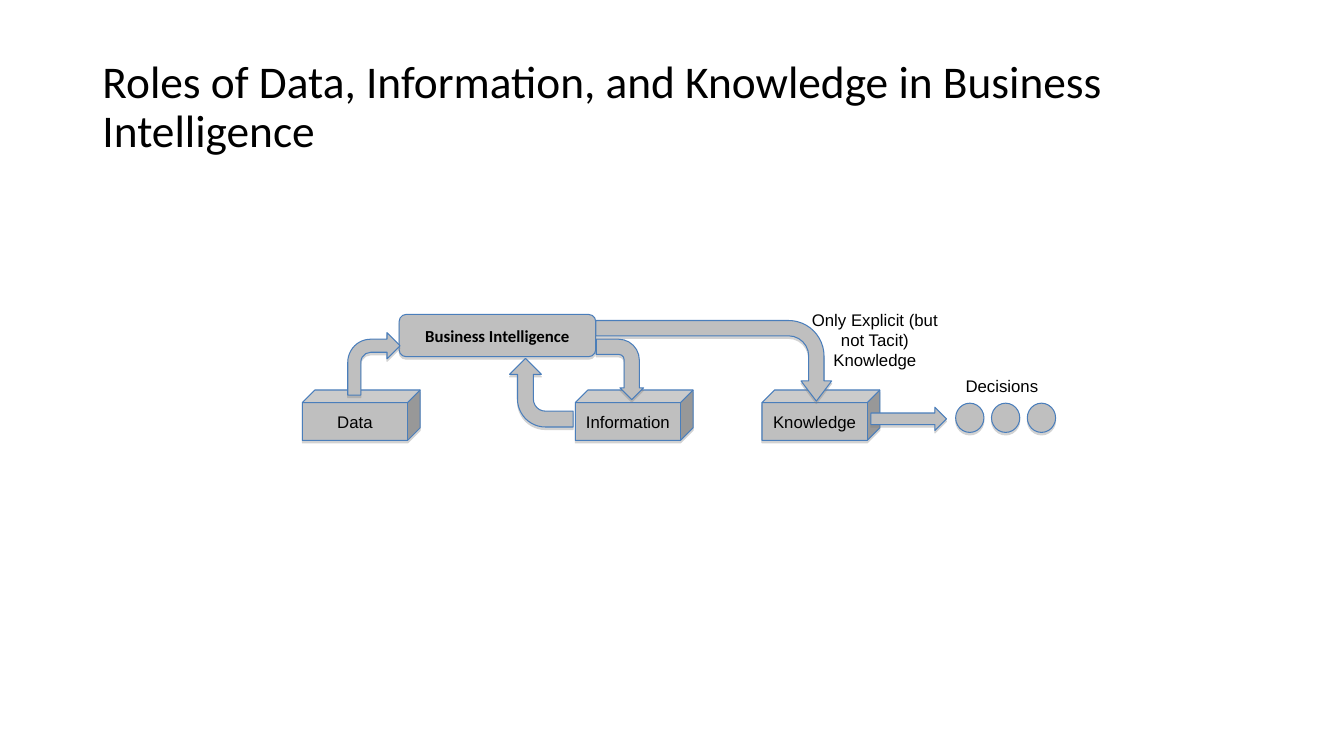
from lxml import etree
from pptx import Presentation
from pptx import util as u
from pptx.dml.color import RGBColor
from pptx.enum import shapes, text
from pptx.oxml import ns

Pt = u.Pt
KIND = shapes.MSO_SHAPE
GREY, BLUE, BLACK, SHADOW = "BFBFBF", "4A7EBB", "000000", "808080"


def colour(value):
    return RGBColor.from_string(value)


def add_shadow(shape):
    """Give the shape a hard shadow just below it."""
    shape.shadow.inherit = False
    effects = shape._element.spPr.find(ns.qn("a:effectLst"))
    shadow = etree.SubElement(effects, ns.qn("a:outerShdw"), blurRad="0",
                              dist=str(Pt(1.8)), dir="5400000", rotWithShape="0")
    tint = etree.SubElement(shadow, ns.qn("a:srgbClr"), val=SHADOW)
    etree.SubElement(tint, ns.qn("a:alpha"), val="35000")


def write(shape, words, size=12, font="Arial", bold=False, align=text.PP_ALIGN.CENTER):
    para = shape.text_frame.paragraphs[0]
    para.text = words
    para.alignment = align
    para.font.size, para.font.name, para.font.bold = Pt(size), font, bold
    para.font.color.rgb = colour(BLACK)
    return para


def add_block(page, kind, left, top, width, height, adjustments=(), turn=0):
    block = page.shapes.add_shape(kind, Pt(left), Pt(top), Pt(width), Pt(height))
    for index, value in enumerate(adjustments):
        block.adjustments[index] = value
    block.rotation = turn
    block.fill.solid()
    block.fill.fore_color.rgb = colour(GREY)
    block.line.color.rgb = colour(BLUE)
    block.line.width = Pt(0.75)
    add_shadow(block)
    return block


def add_labelled_block(page, kind, box, words, adjustments, **style):
    block = add_block(page, kind, *box, adjustments)
    frame = block.text_frame
    frame.margin_left = frame.margin_right = 0
    frame.vertical_anchor = text.MSO_ANCHOR.MIDDLE
    write(block, words, **style)


def add_label(page, left, top, width, height, words, wrap):
    label = page.shapes.add_textbox(Pt(left), Pt(top), Pt(width), Pt(height))
    label.text_frame.word_wrap = wrap
    write(label, words, align=text.PP_ALIGN.CENTER if wrap else text.PP_ALIGN.LEFT)


def add_title(page, left, top, width, height):
    title = page.shapes.title
    title.left, title.top, title.width, title.height = map(Pt, (left, top, width, height))
    frame = title.text_frame
    frame.auto_size = text.MSO_AUTO_SIZE.NONE
    frame.vertical_anchor = text.MSO_ANCHOR.MIDDLE
    frame.margin_bottom = Pt(11)
    para = write(title, "Roles of Data, Information, and Knowledge in Business Intelligence",
                 32.4, "Calibri", align=text.PP_ALIGN.LEFT)
    para.line_spacing = 0.9


def add_decisions(page, left, top):
    for index in range(3):
        add_block(page, KIND.OVAL, left + index * 25.6, top + 23, 20.2, 20.9)
    add_label(page, left, top, 67, 21.6, "Decisions", wrap=False)


def add_flow(page, left, top):
    for words, x in (("Knowledge", 328.3), ("Information", 195), ("Data", 0)):
        add_labelled_block(page, KIND.CUBE, (left + x, top + 61.2, 84.2, 36), words, [0.25])
    add_decisions(page, left + 466.6, top + 47.6)
    add_labelled_block(page, KIND.ROUNDED_RECTANGLE, (left + 69.1, top + 7.2, 140.4, 30.2),
                       "Business Intelligence", [0.167], font="Calibri", bold=True)
    add_label(page, left + 353.5, top, 110.9, 51.1,
              "Only Explicit (but not Tacit) Knowledge", wrap=True)
    bend = KIND.BENT_ARROW
    arrows = (
        (bend, 32.4, 20.2, 37.4, 44.6, (0.25, 0.25, 0.25, 0.44), 0),
        (bend, 146.2, 40.4, 49, 45.4, (0.25, 0.25, 0.25, 0.44), 270),
        (bend, 205.2, 29.6, 43.2, 33.8, (0.32, 0.25, 0.25, 0.44), 90),
        (KIND.RIGHT_ARROW, 406.1, 73.5, 54, 16.6, (0.5, 0.5), 0),
        (bend, 265, -43.9, 57.6, 168.5, (0.19, 0.19, 0.25, 0.44), 90),
    )
    for kind, x, y, width, height, adjustments, turn in arrows:
        add_block(page, kind, left + x, top + y, width, height, adjustments, turn)


def main():
    deck = Presentation()
    deck.slide_width, deck.slide_height = Pt(960), Pt(540)
    page = deck.slides.add_slide(deck.slide_layouts[5])
    add_title(page, 66, 28.8, 828, 104.4)
    add_flow(page, 216, 217.4)
    deck.save("out.pptx")


if __name__ == "__main__":
    main()
